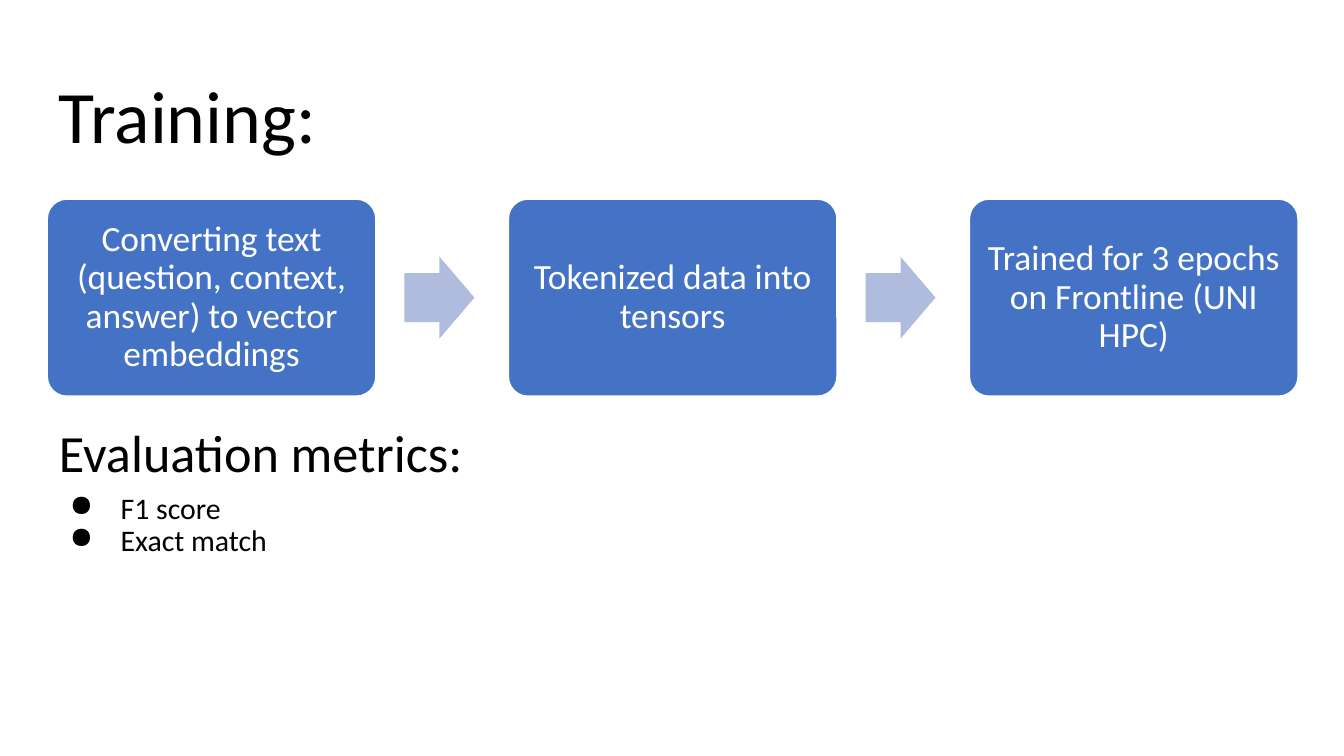
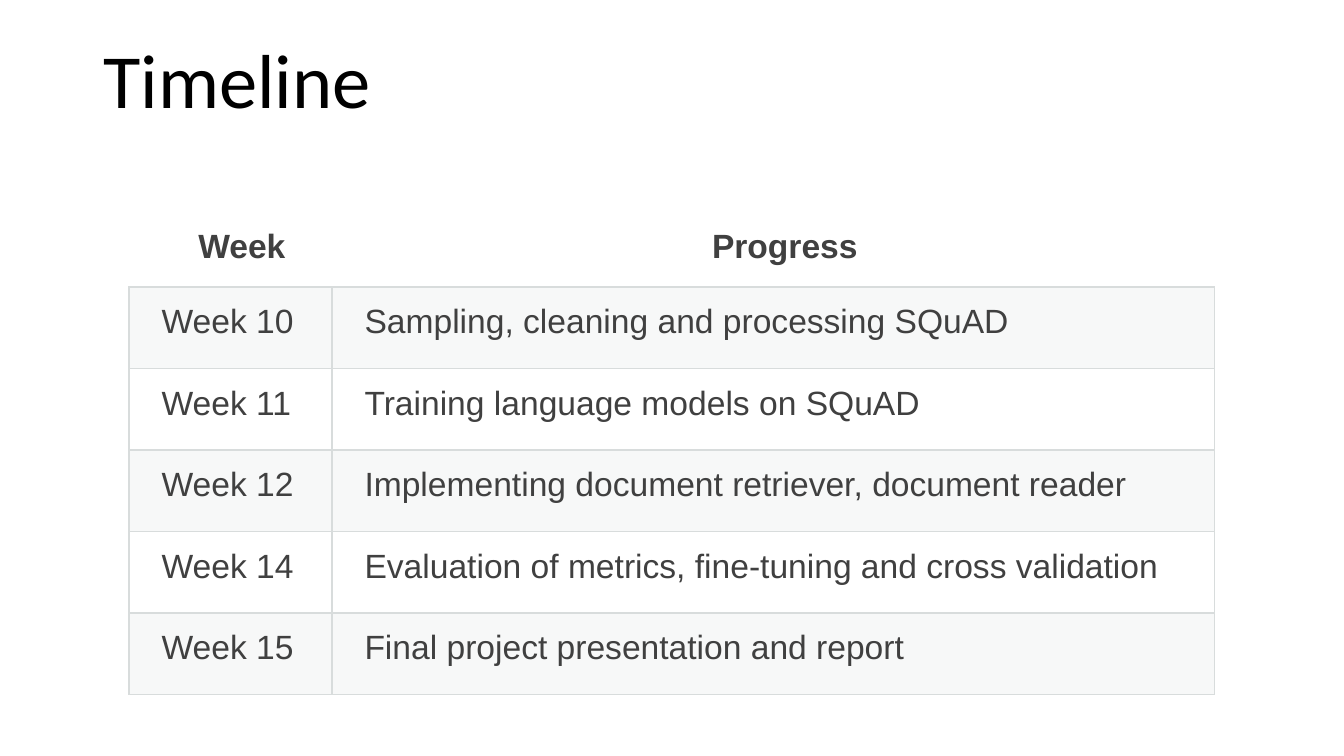
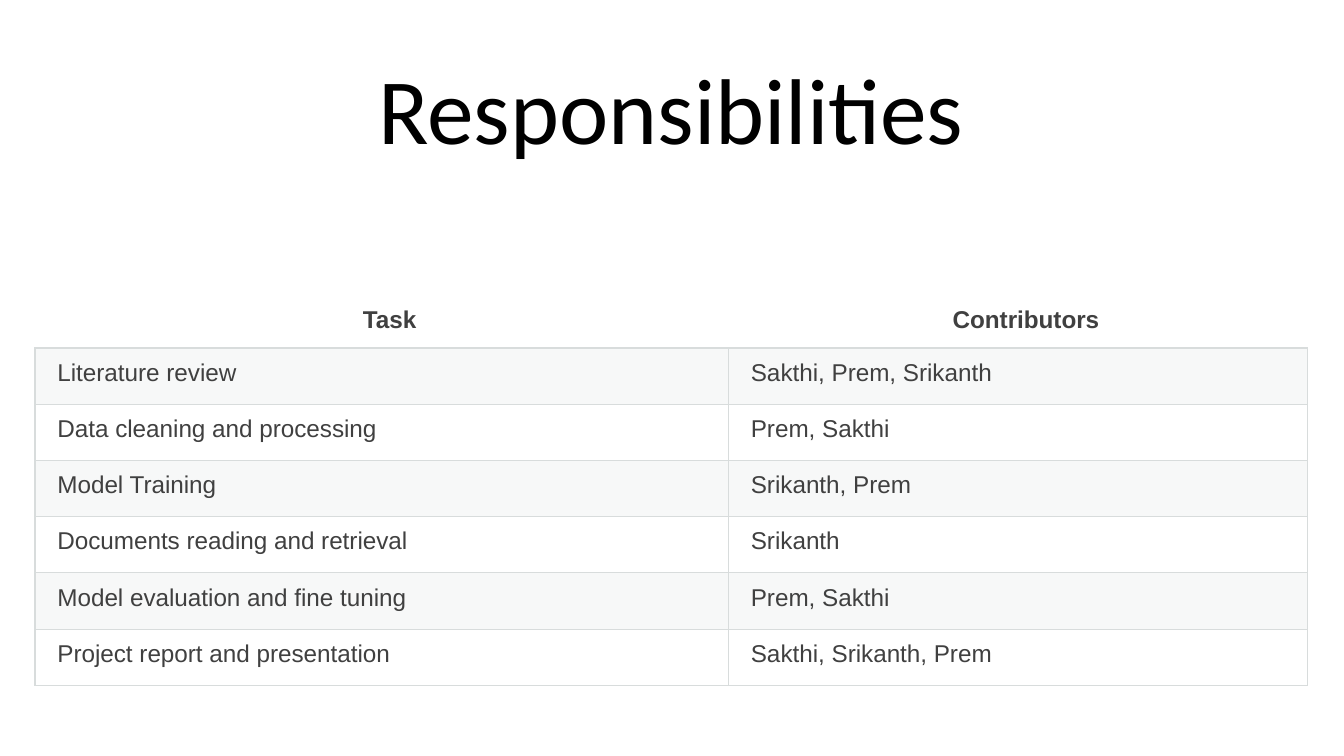
import pptx
import pptx.util
import pptx.dml.color
import pptx.enum.shapes
import pptx.enum.text
import pptx.oxml
import pptx.oxml.ns
import lxml.etree

INK = {
    "text": "000000",
    "card": "4472C4",
    "arrow": "B0BCDE",
    "white": "FFFFFF",
    "cell": "404040",
    "rule": "D8DCDC",
    "band": "D8DEDC",
}
WIDE = pptx.util.Inches(10)
HIGH = WIDE * 9 // 16
HEAD_FONT = "Calibri"
GRID_FONT = "Arial"
ALIGN = pptx.enum.text.PP_ALIGN
ANCHOR = pptx.enum.text.MSO_ANCHOR
FORM = pptx.enum.shapes.MSO_SHAPE


def color(key):
    return pptx.dml.color.RGBColor.from_string(INK[key])


def share(left, top, width, height):
    return (int(WIDE * left / 100), int(HIGH * top / 100),
            int(WIDE * width / 100), int(HIGH * height / 100))


def node(parent, tag, **attrs):
    return lxml.etree.SubElement(parent, pptx.oxml.ns.qn(tag), attrs)


def style(part, size, ink, font=HEAD_FONT, bold=False, align=ALIGN.LEFT):
    part.alignment = align
    for run in part.runs:
        run.font.name = font
        run.font.size = pptx.util.Pt(size)
        run.font.bold = bold
        run.font.color.rgb = color(ink)


def inset(frame, gap):
    frame.margin_left = frame.margin_right = gap
    frame.margin_top = frame.margin_bottom = gap


def write(slide, box, text, size, anchor=ANCHOR.TOP, align=ALIGN.LEFT, gap=0.1):
    frame = slide.shapes.add_textbox(*box).text_frame
    frame.word_wrap = True
    frame.vertical_anchor = anchor
    inset(frame, pptx.util.Inches(gap))
    frame.text = text
    for part in frame.paragraphs:
        part.line_spacing = 0.9
        style(part, size, "text", align=align)
    return frame


def list_points(slide, box, points):
    for part in write(slide, box, "\n".join(points), 16).paragraphs:
        props = part._p.get_or_add_pPr()
        props.set("marL", str(pptx.util.Inches(0.5)))
        props.set("indent", str(-pptx.util.Inches(0.38)))
        node(props, "a:buChar", char="●")


def block(slide, form, box, ink, *bends):
    shape = slide.shapes.add_shape(form, *map(int, box))
    shape.shadow.inherit = False
    shape.fill.solid()
    shape.fill.fore_color.rgb = color(ink)
    shape.line.fill.background()
    for spot, bend in enumerate(bends):
        shape.adjustments[spot] = bend
    return shape


def flow(slide, box, steps):
    left, top, width, height = box
    card = width * 0.263
    pitch = (width - card) / (len(steps) - 1)
    space = pitch - card
    point = space * 0.53
    tall = height * 0.415
    for spot, step in enumerate(steps):
        start = left + spot * pitch
        shape = block(slide, FORM.ROUNDED_RECTANGLE, (start, top, card, height), "card", 0.1)
        shape.line.color.rgb = color("white")
        shape.line.width = pptx.util.Pt(1)
        frame = shape.text_frame
        frame.word_wrap = True
        frame.vertical_anchor = ANCHOR.MIDDLE
        inset(frame, pptx.util.Inches(0.08))
        frame.text = step
        frame.paragraphs[0].line_spacing = 0.9
        style(frame.paragraphs[0], 19, "white", align=ALIGN.CENTER)
        if spot < len(steps) - 1:
            spare = (height - tall) / 2
            block(slide, FORM.RIGHT_ARROW,
                  (start + card + space * 0.215, top + spare, point, tall), "arrow", 0.6, 0.5)


def edge(cell, sides):
    props = cell._tc.get_or_add_tcPr()
    for side in "LRTB":
        line = node(props, "a:ln" + side, w=str(pptx.util.Pt(0.75)))
        if side in sides:
            node(node(line, "a:solidFill"), "a:srgbClr", val=INK["rule"])
        else:
            node(line, "a:noFill")


def shade(cell, band):
    if not band:
        cell.fill.background()
        return
    cell.fill.solid()
    cell.fill.fore_color.rgb = color("band")
    tint = next(cell._tc.tcPr.iterchildren(pptx.oxml.ns.qn("a:solidFill")))[0]
    node(tint, "a:alpha", val="20000")


def grid(slide, box, parts, size, rows):
    table = slide.shapes.add_table(len(rows), len(parts), *box).table
    table.first_row = table.horz_banding = False
    tall = box[3] // len(rows)
    for column, part in zip(table.columns, parts):
        column.width = int(box[2] * part / sum(parts))
    for y, row in enumerate(rows):
        table.rows[y].height = tall
        head = y == 0
        for x, text in enumerate(row):
            cell = table.cell(y, x)
            cell.text = text
            cell.margin_left = int(tall * 0.4)
            cell.margin_right = int(tall * 0.12)
            cell.margin_top = cell.margin_bottom = int(tall * 0.2)
            cell.vertical_anchor = ANCHOR.MIDDLE if head else ANCHOR.TOP
            style(cell.text_frame.paragraphs[0], size, "cell", GRID_FONT, head,
                  ALIGN.CENTER if head else ALIGN.LEFT)
            edge(cell, "B" if head else "LRTB")
            shade(cell, y % 2 == 1)


def train(slide):
    write(slide, share(3.4, 8.71, 93.2, 11.2), "Training:", 39.6)
    write(slide, share(3.4, 54.76, 93.2, 11.2), "Evaluation metrics:", 28)
    list_points(slide, share(3, 63.47, 95.2, 28.44), ["F1 score", "Exact match"])
    flow(slide, share(3.5, 26.31, 93.1, 26.13), [
        "Converting text (question, context, answer) to vector embeddings",
        "Tokenized data into tensors",
        "Trained for 3 epochs on Frontline (UNI HPC)",
    ])


def plan(slide):
    write(slide, share(6.9, 4.27, 86.2, 13.69), "Timeline", 41, ANCHOR.BOTTOM, gap=0.08)
    grid(slide, share(9.6, 27.2, 80.8, 64.71), (1.51, 6.57), 18, [
        ("Week", "Progress"),
        ("Week 10", "Sampling, cleaning and processing SQuAD"),
        ("Week 11", "Training language models on SQuAD"),
        ("Week 12", "Implementing document retriever, document reader"),
        ("Week 14", "Evaluation of metrics, fine-tuning and cross validation"),
        ("Week 15", "Final project presentation and report"),
    ])


def roles(slide):
    write(slide, share(5.2, 6.04, 89.5, 18.13), "Responsibilities", 50,
          ANCHOR.MIDDLE, ALIGN.CENTER)
    grid(slide, share(2.6, 38.58, 94.7, 52.09), (5.16, 4.31), 13, [
        ("Task", "Contributors"),
        ("Literature review", "Sakthi, Prem, Srikanth"),
        ("Data cleaning and processing", "Prem, Sakthi"),
        ("Model Training", "Srikanth, Prem"),
        ("Documents reading and retrieval", "Srikanth"),
        ("Model evaluation and fine tuning", "Prem, Sakthi"),
        ("Project report and presentation", "Sakthi, Srikanth, Prem"),
    ])


def main():
    deck = pptx.Presentation()
    deck.slide_width = WIDE
    deck.slide_height = HIGH
    for build in (train, plan, roles):
        build(deck.slides.add_slide(deck.slide_layouts[6]))
    deck.save("out.pptx")


if __name__ == "__main__":
    main()
